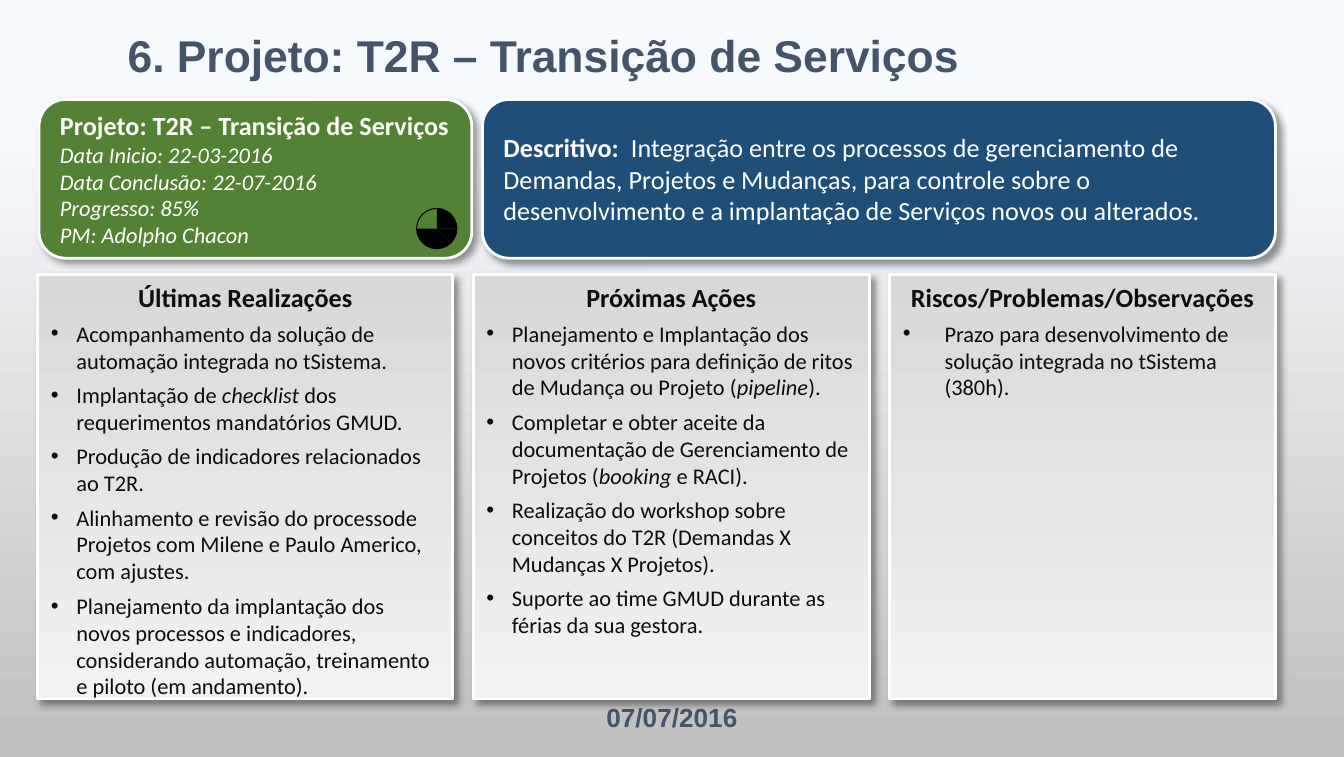
import math
from dataclasses import dataclass

from lxml import etree
from pptx import Presentation
from pptx.dml.color import RGBColor
from pptx.enum.shapes import MSO_SHAPE
from pptx.enum.text import MSO_ANCHOR, PP_ALIGN
from pptx.oxml.ns import qn
from pptx.util import Inches, Pt

CENTER, LEFT = PP_ALIGN.CENTER, PP_ALIGN.LEFT
TOP, MIDDLE = MSO_ANCHOR.TOP, MSO_ANCHOR.MIDDLE
RECTANGLE, ROUNDED, OVAL = MSO_SHAPE.RECTANGLE, MSO_SHAPE.ROUNDED_RECTANGLE, MSO_SHAPE.OVAL


@dataclass(frozen=True)
class Theme:
    heading_font: str = "Arial"
    body_font: str = "Calibri"
    slate: str = "44546A"
    ink: str = "0D0D0D"
    white: str = "FFFFFF"
    black: str = "000000"
    green: str = "548235"
    blue: str = "1F4E79"
    page_stops: tuple = ((17, "F7FAFD"), (100, "BFBFBF"))
    panel_stops: tuple = ((0, "D8D8D8"), (100, "F2F2F2"))
    title_size: float = 23.8
    header_size: float = 14
    body_size: float = 12


THEME = Theme()


@dataclass(frozen=True)
class Span:
    text: str
    size: float = THEME.body_size
    bold: bool = False
    italic: bool = False


@dataclass(frozen=True)
class Panel:
    left: float
    width: float
    header: str
    bullets: tuple  # text between underscores is italic
    indent: float = 0.19


PANEL_TOP, PANEL_HEIGHT = 2.04, 3.16
CARD_TOP, CARD_HEIGHT = 0.74, 1.18

PANELS = (
    Panel(0.28, 3.09, "Últimas Realizações", (
        "Acompanhamento da solução de automação integrada no tSistema.",
        "Implantação de _checklist_ dos requerimentos mandatórios GMUD.",
        "Produção de indicadores relacionados ao T2R.",
        "Alinhamento e revisão do processode Projetos com Milene e Paulo Americo, com ajustes.",
        "Planejamento da implantação dos novos processos e indicadores, "
        "considerando automação, treinamento e piloto (em andamento).",
    )),
    Panel(3.52, 2.95, "Próximas Ações", (
        "Planejamento e Implantação dos novos critérios para definição de ritos "
        "de Mudança ou Projeto (_pipeline_).",
        "Completar e obter aceite da documentação de Gerenciamento de Projetos "
        "(_booking_ e RACI).",
        "Realização do workshop sobre conceitos do T2R (Demandas X Mudanças X Projetos).",
        "Suporte ao time GMUD durante as férias da sua gestora.",
    )),
    Panel(6.62, 2.87, "Riscos/Problemas/Observações", (
        "Prazo para desenvolvimento de solução integrada no tSistema (380h).",
    ), indent=0.31),
)


def color(value: str) -> RGBColor:
    return RGBColor.from_string(value)


def fill_gradient(fill, stops: tuple) -> None:
    fill.gradient()
    fill.gradient_angle = 270
    for stop, (position, value) in zip(fill.gradient_stops, stops):
        stop.position = position / 100
        stop.color.rgb = color(value)


def add_shadow(shape) -> None:
    effects = etree.SubElement(shape._element.spPr, qn("a:effectLst"))
    shadow = etree.SubElement(effects, qn("a:outerShdw"), blurRad=str(Pt(4)),
                              dist=str(Pt(3)), dir=str(45 * 60000), rotWithShape="0")
    tone = etree.SubElement(shadow, qn("a:srgbClr"), val=THEME.black)
    etree.SubElement(tone, qn("a:alpha"), val="40000")


def write_spans(para, spans: list, font: str, value: str) -> None:
    for span in spans:
        run = para.add_run()
        run.text = span.text
        run.font.name = font
        run.font.size = Pt(span.size)
        run.font.bold = span.bold
        run.font.italic = span.italic
        run.font.color.rgb = color(value)


def add_block(page, kind, left: float, top: float, width: float, height: float):
    """Outlined block with a shadow; the caller sets its fill."""
    block = page.shapes.add_shape(kind, Inches(left), Inches(top), Inches(width), Inches(height))
    block.line.color.rgb = color(THEME.white)
    block.line.width = Pt(1.5)
    add_shadow(block)
    block.text_frame.word_wrap = True
    return block


def add_heading(page, text: str, left: float, top: float, width: float, size: float) -> None:
    box = page.shapes.add_textbox(Inches(left), Inches(top), Inches(width), Inches(0.61))
    frame = box.text_frame
    frame.word_wrap = True
    frame.vertical_anchor = MIDDLE
    para = frame.paragraphs[0]
    para.alignment = CENTER
    write_spans(para, [Span(text, size, bold=True)], THEME.heading_font, THEME.slate)


def add_card(page, left: float, width: float, fill: str, lines: list) -> None:
    card = add_block(page, ROUNDED, left, CARD_TOP, width, CARD_HEIGHT)
    card.fill.solid()
    card.fill.fore_color.rgb = color(fill)
    frame = card.text_frame
    frame.vertical_anchor = MIDDLE
    for index, spans in enumerate(lines):
        para = frame.add_paragraph() if index else frame.paragraphs[0]
        para.alignment = LEFT
        write_spans(para, spans, THEME.body_font, THEME.white)


def add_panel(page, panel: Panel) -> None:
    block = add_block(page, RECTANGLE, panel.left, PANEL_TOP, panel.width, PANEL_HEIGHT)
    fill_gradient(block.fill, THEME.panel_stops)
    frame = block.text_frame
    frame.vertical_anchor = TOP
    header = frame.paragraphs[0]
    header.alignment = CENTER
    header.space_after = Pt(2)
    write_spans(header, [Span(panel.header, THEME.header_size, bold=True)],
                THEME.body_font, THEME.ink)
    for text in panel.bullets:
        para = frame.add_paragraph()
        para.alignment = LEFT
        para.space_before = para.space_after = Pt(2)
        props = para._p.get_or_add_pPr()
        props.set("marL", str(Inches(panel.indent)))
        props.set("indent", str(-Inches(panel.indent)))
        etree.SubElement(props, qn("a:buFont"), typeface="Arial")
        etree.SubElement(props, qn("a:buChar"), char="•")
        spans = [Span(part, italic=index % 2 == 1) for index, part in enumerate(text.split("_"))]
        write_spans(para, spans, THEME.body_font, THEME.ink)


def add_progress_dial(page, center_x: float, center_y: float, radius: float, eighths: int) -> None:
    """Clockwise wedges of 45 degrees from twelve o'clock, inside a ring."""
    for wedge in range(eighths):
        angles = [math.radians(wedge * 45 + step * 5) for step in range(10)]
        arc = [(Inches(center_x + radius * math.sin(angle)),
                Inches(center_y - radius * math.cos(angle))) for angle in angles]
        builder = page.shapes.build_freeform(Inches(center_x), Inches(center_y))
        builder.add_line_segments(arc, close=True)
        slice_shape = builder.convert_to_shape()
        slice_shape.shadow.inherit = False
        slice_shape.fill.solid()
        slice_shape.fill.fore_color.rgb = color(THEME.black)
        slice_shape.line.fill.background()
    ring = page.shapes.add_shape(OVAL, Inches(center_x - radius), Inches(center_y - radius),
                                 Inches(2 * radius), Inches(2 * radius))
    ring.shadow.inherit = False
    ring.fill.background()
    ring.line.color.rgb = color(THEME.black)
    ring.line.width = Pt(0.5)


def main() -> None:
    deck = Presentation()
    deck.slide_width, deck.slide_height = Inches(10), Inches(5.63)
    page = deck.slides.add_slide(deck.slide_layouts[6])
    fill_gradient(page.background.fill, THEME.page_stops)

    # Title and date
    add_heading(page, "6. Projeto: T2R – Transição de Serviços", 0.62, 0.1, 6.84, THEME.title_size)
    add_heading(page, "07/07/2016", 0, 5.03, 10, THEME.header_size)

    # Status panels
    for panel in PANELS:
        add_panel(page, panel)

    # Project card and description
    facts = ("Data Inicio: 22-03-2016", "Data Conclusão: 22-07-2016",
             "Progresso: 85%", "PM: Adolpho Chacon")
    project = [Span("Projeto: T2R – Transição de Serviços", THEME.header_size, bold=True)]
    add_card(page, 0.29, 3.22, THEME.green,
             [project] + [[Span(fact, italic=True)] for fact in facts])
    add_card(page, 3.59, 5.9, THEME.blue, [[
        Span("Descritivo:  ", THEME.header_size, bold=True),
        Span("Integração entre os processos de gerenciamento de Demandas, Projetos e Mudanças, "
             "para controle sobre o desenvolvimento e a implantação de Serviços novos ou "
             "alterados.", THEME.header_size),
    ]])
    add_progress_dial(page, 3.25, 1.7, 0.15, eighths=6)

    deck.save("out.pptx")


if __name__ == "__main__":
    main()
